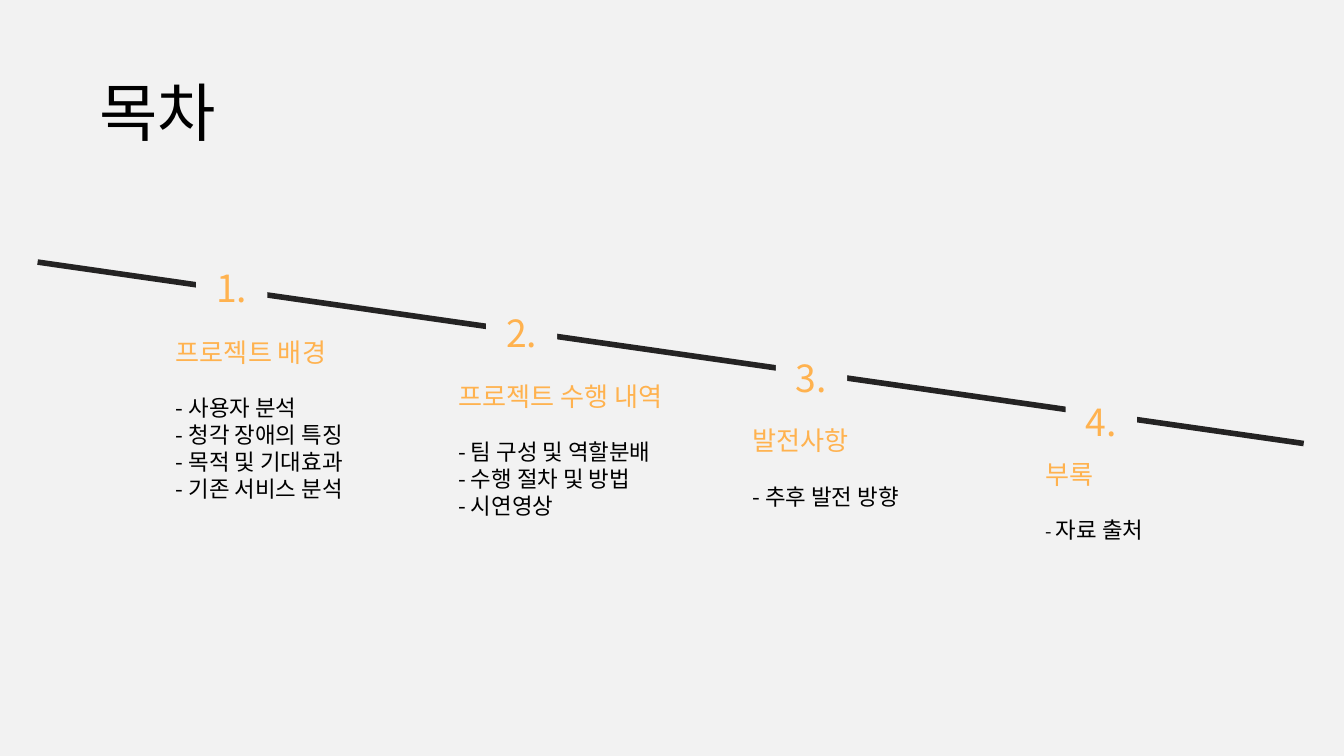
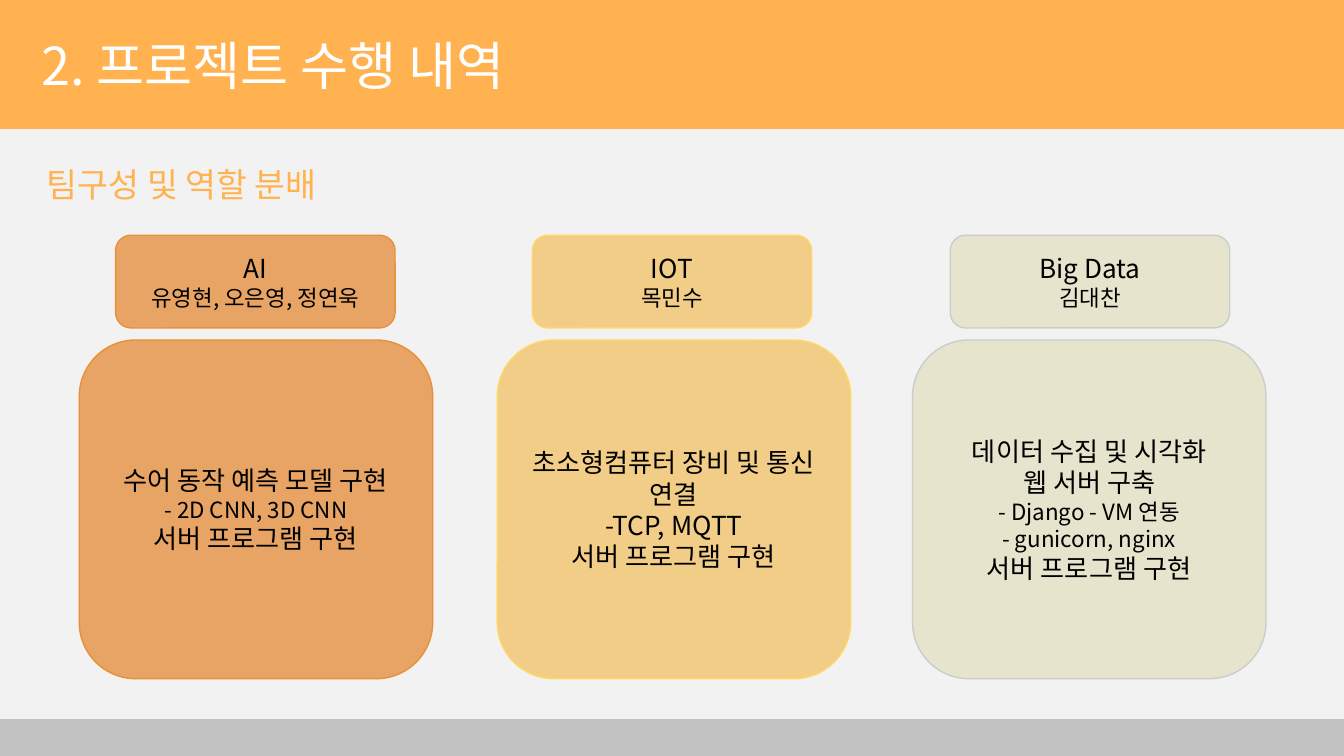
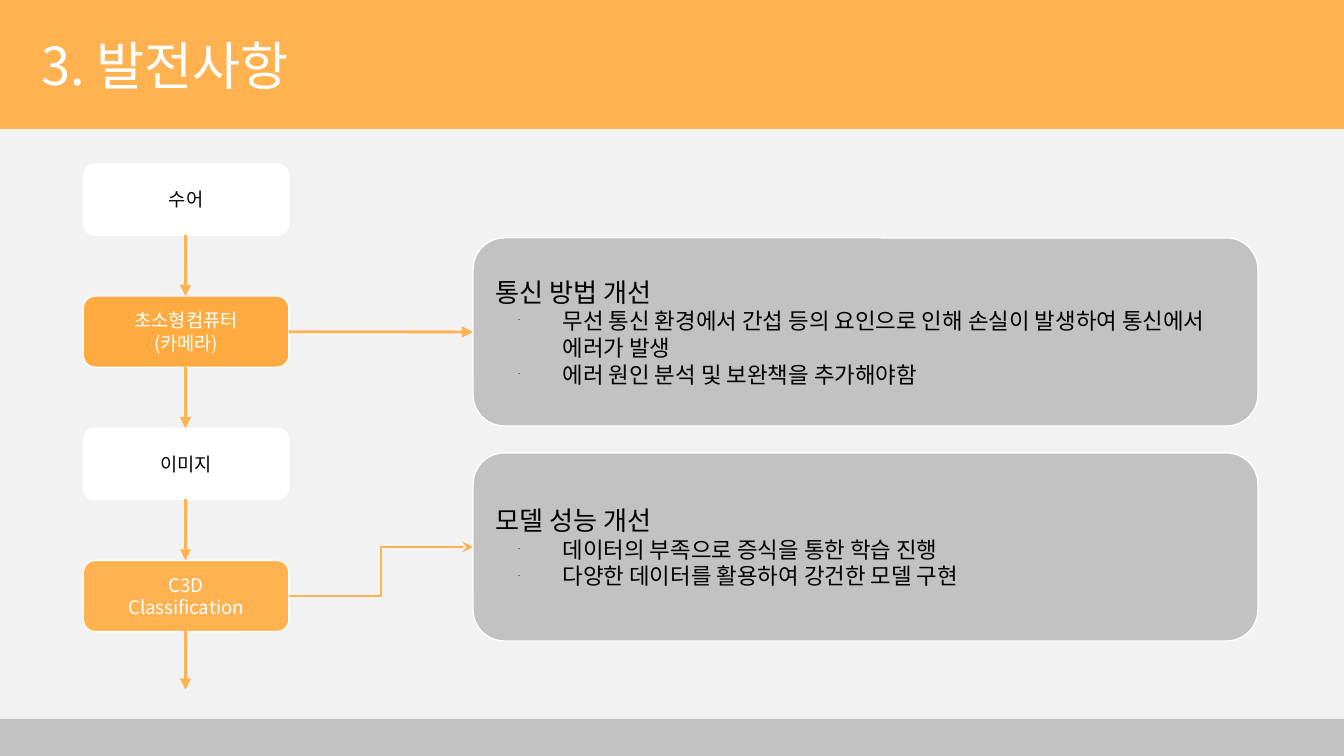
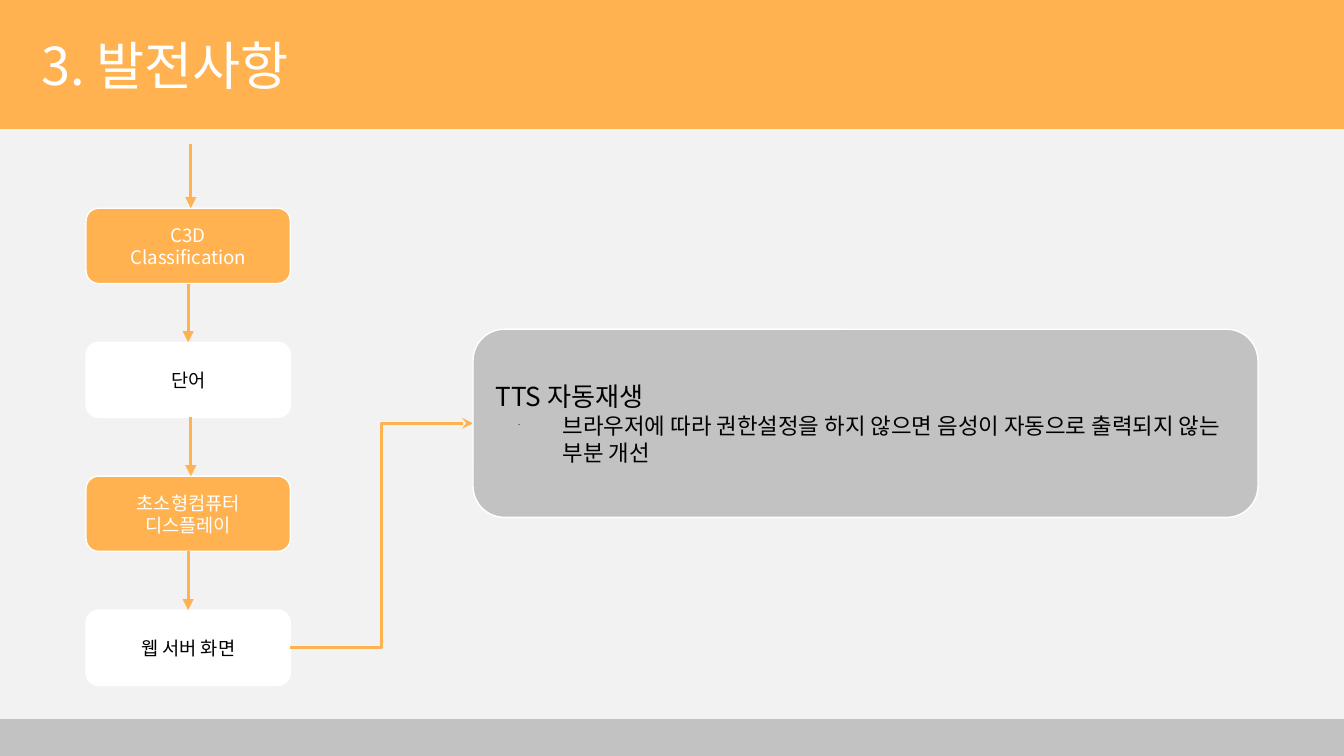
from lxml.etree import SubElement
from pptx import Presentation
from pptx.dml.color import RGBColor
from pptx.enum.shapes import MSO_CONNECTOR, MSO_SHAPE
from pptx.enum.text import MSO_ANCHOR, MSO_AUTO_SIZE, PP_ALIGN
from pptx.oxml.ns import qn
from pptx.util import Inches, Pt

FONT = "Noto Sans CJK KR"
ORANGE = RGBColor(0xFF, 0xB2, 0x4F)
DEEP_ORANGE = RGBColor(0xFF, 0xAB, 0x40)
PAPER = RGBColor(0xF2, 0xF2, 0xF2)
GRAY = RGBColor(0xC2, 0xC2, 0xC2)
INK = RGBColor(0x24, 0x23, 0x23)
BLACK = RGBColor(0, 0, 0)
WHITE = RGBColor(0xFF, 0xFF, 0xFF)

# heading, items, dash size, (left, top, width, height)
CONTENTS = [
    ("프로젝트 배경", ["사용자 분석", "청각 장애의 특징", "목적 및 기대효과", "기존 서비스 분석"],
     12, (1.21, 2.4, 1.6, 1.42)),
    ("프로젝트 수행 내역", ["팀 구성 및 역할분배", "수행 절차 및 방법", "시연영상"],
     12, (3.31, 2.73, 2.11, 1.69)),
    ("발전사항", ["추후 발전 방향"], 12, (5.5, 3.06, 1.6, 1.5)),
    ("부록", ["자료 출처"], 10, (7.68, 3.31, 1.6, 0.83)),
]

# team, members, tasks with sizes, fill, outline, left of name box, left of task box
TEAMS = [
    ("AI", "유영현, 오은영, 정연욱",
     [("수어 동작 예측 모델 구현", 14), ("- 2D CNN, 3D CNN", 12), ("서버 프로그램 구현", 14)],
     RGBColor(0xE8, 0xA4, 0x65), RGBColor(0xE6, 0x91, 0x38), 0.86, 0.59),
    ("IOT", "목민수",
     [("초소형컴퓨터 장비 및 통신 연결", 14), ("-TCP, MQTT", 14), ("서버 프로그램 구현", 14)],
     RGBColor(0xF2, 0xCD, 0x87), RGBColor(0xFF, 0xD9, 0x66), 3.96, 3.7),
    ("Big Data", "김대찬",
     [("데이터 수집 및 시각화", 14), ("웹 서버 구축", 14), ("- Django - VM 연동", 12),
      ("- gunicorn, nginx", 12), ("서버 프로그램 구현", 14)],
     RGBColor(0xE7, 0xE4, 0xCD), RGBColor(0xCC, 0xCC, 0xCC), 7.07, 6.79),
]

# steps: lines of text, fill; notes: top, heading, items
RECOGNITION = dict(
    box=(0.62, 1.53, 0.53), first_top=1.22, last_top=4.17,
    steps=[(["수어"], WHITE), (["초소형컴퓨터", "(카메라)"], DEEP_ORANGE),
           (["이미지"], WHITE), (["C3D", "Classification"], ORANGE)],
    arrow_xs=[1.38] * 3, open_arrow=(1.38, 4.68, 5.13),
    notes=[
        (1.77, "통신 방법 개선",
         ["무선 통신 환경에서 간섭 등의 요인으로 인해 손실이 발생하여 통신에서 에러가 발생",
          "에러 원인 분석 및 보완책을 추가해야함"]),
        (3.37, "모델 성능 개선",
         ["데이터의 부족으로 증식을 통한 학습 진행", "다양한 데이터를 활용하여 강건한 모델 구현"]),
    ],
    note_steps=[1, 3],
)
OUTPUT = dict(
    box=(0.64, 1.52, 0.56), first_top=1.55, last_top=4.54,
    steps=[(["C3D", "Classification"], ORANGE), (["단어"], WHITE),
           (["초소형컴퓨터", "디스플레이"], ORANGE), (["웹 서버 화면"], WHITE)],
    arrow_xs=[1.4, 1.42, 1.4], open_arrow=(1.42, 1.07, 1.55),
    notes=[(2.45, "TTS 자동재생",
            ["브라우저에 따라 권한설정을 하지 않으면 음성이 자동으로 출력되지 않는 부분 개선"])],
    note_steps=[3],
)
NOTE_LEFT, NOTE_WIDTH, NOTE_HEIGHT = 3.52, 5.84, 1.4


def add_run(p, text, size, color):
    r = p.add_run()
    r.text = text
    r.font.size = Pt(size)
    r.font.color.rgb = color
    r.font.name = FONT
    SubElement(r.font._element, qn("a:ea"), typeface=FONT)


def write(tf, text, size=12, color=BLACK, align=PP_ALIGN.LEFT, bullet=False, dash=None, before=0):
    """Add a paragraph, using the frame's first one while it is still empty."""
    p = tf.paragraphs[0]
    if p.runs:
        p = tf.add_paragraph()
    p.alignment = align
    if before:
        p.space_before = Pt(before)
    if bullet:
        pPr = p._p.get_or_add_pPr()
        pPr.set("marL", str(Inches(0.5)))
        pPr.set("indent", str(Inches(-0.33)))
        SubElement(SubElement(pPr, qn("a:buClr")), qn("a:srgbClr"), val=str(BLACK))
        SubElement(pPr, qn("a:buSzPct"), val="25000")
        SubElement(pPr, qn("a:buChar"), char="-")
    if dash and dash != size:
        add_run(p, "- ", dash, color)
    elif dash:
        text = f"- {text}"
    add_run(p, text, size, color)


def set_frame(tf):
    tf.word_wrap = True
    tf.margin_left = tf.margin_right = tf.margin_top = tf.margin_bottom = Inches(0.1)
    return tf


def add_text(s, *box):
    tf = set_frame(s.shapes.add_textbox(*map(Inches, box)).text_frame)
    tf.auto_size = MSO_AUTO_SIZE.SHAPE_TO_FIT_TEXT
    return tf


def add_box(s, *box, fill, line=None, kind=MSO_SHAPE.ROUNDED_RECTANGLE):
    sp = s.shapes.add_shape(kind, *map(Inches, box))
    sp.shadow.inherit = False
    sp.fill.solid()
    sp.fill.fore_color.rgb = fill
    if line is None:
        sp.line.fill.background()
    else:
        sp.line.color.rgb = line
        sp.line.width = Pt(0.75)
    tf = set_frame(sp.text_frame)
    tf.vertical_anchor = MSO_ANCHOR.MIDDLE
    return tf


def add_line(s, *ends, color=ORANGE, width=1.5, head=None, kind=MSO_CONNECTOR.STRAIGHT):
    c = s.shapes.add_connector(kind, *map(Inches, ends))
    c.line.color.rgb = color
    c.line.width = Pt(width)
    if head:
        SubElement(c.line._get_or_add_ln(), qn("a:tailEnd"), type=head)
    SubElement(c._element.spPr, qn("a:effectLst"))


def new_slide(prs, title=None):
    s = prs.slides.add_slide(prs.slide_layouts[6])
    s.background.fill.solid()
    s.background.fill.fore_color.rgb = PAPER
    if title:
        add_box(s, 0, 0, 10, 0.96, fill=ORANGE, kind=MSO_SHAPE.RECTANGLE)
        add_box(s, 0, 5.35, 10, 0.28, fill=GRAY, kind=MSO_SHAPE.RECTANGLE)
        write(add_text(s, 0.21, 0.15, 6.74, 0.67), title, size=28, color=WHITE)
    return s


def contents_slide(prs):
    s = new_slide(prs)
    add_line(s, 0.28, 1.95, 9.7, 3.3, color=INK, width=3)
    write(add_text(s, 0.64, 0.44, 1.41, 0.75), "목차", size=34)
    number_pitch = (7.93 - 1.46) / (len(CONTENTS) - 1)
    for i, (heading, items, dash, box) in enumerate(CONTENTS):
        tf = add_box(s, 1.46 + number_pitch * i, 1.88 + i / 3, 0.53, 0.52,
                     fill=PAPER, kind=MSO_SHAPE.RECTANGLE)
        write(tf, f"{i + 1}.", size=20, color=ORANGE, align=PP_ALIGN.CENTER)
        tf = add_text(s, *box)
        write(tf, heading, size=14, color=ORANGE)
        for j, item in enumerate(items):
            write(tf, item, dash=dash, before=0 if j else 14.4)


def team_slide(prs):
    s = new_slide(prs, "2. 프로젝트 수행 내역")
    write(add_text(s, 0.25, 1.12, 2.97, 0.49), "팀구성 및 역할 분배", size=18, color=ORANGE)
    for team, members, tasks, fill, line, name_left, task_left in TEAMS:
        for box, rows in [((name_left, 1.75, 2.08, 0.69), [(team, 14), (members, 12)]),
                          ((task_left, 2.53, 2.63, 2.52), tasks)]:
            tf = add_box(s, *box, fill=fill, line=line)
            for text, size in rows:
                write(tf, text, size=size, align=PP_ALIGN.CENTER)


def flow_slide(prs, flow):
    s = new_slide(prs, "3. 발전사항")
    left, width, height = flow["box"]
    steps = flow["steps"]
    pitch = (flow["last_top"] - flow["first_top"]) / (len(steps) - 1)
    tops = [flow["first_top"] + pitch * i for i in range(len(steps))]
    for top, (lines, fill) in zip(tops, steps):
        tf = add_box(s, left, top, width, height, fill=fill, line=WHITE)
        for text in lines:
            write(tf, text, size=10, color=BLACK if fill == WHITE else WHITE,
                  align=PP_ALIGN.CENTER)
    for x, top, below in zip(flow["arrow_xs"], tops, tops[1:]):
        add_line(s, x, top + height, x, below, head="triangle")
    x, start, end = flow["open_arrow"]
    add_line(s, x, start, x, end, head="triangle")

    for step, (top, heading, items) in zip(flow["note_steps"], flow["notes"]):
        start, end = tops[step] + height / 2, top + NOTE_HEIGHT / 2
        level = abs(start - end) < 0.05
        add_line(s, left + width, start, NOTE_LEFT, end,
                 head="triangle" if level else "stealth",
                 kind=MSO_CONNECTOR.STRAIGHT if level else MSO_CONNECTOR.ELBOW)
        tf = add_box(s, NOTE_LEFT, top, NOTE_WIDTH, NOTE_HEIGHT, fill=GRAY, line=WHITE)
        write(tf, heading, size=14)
        for item in items:
            write(tf, item, bullet=True)


def main():
    prs = Presentation()
    prs.slide_width = Inches(10)
    prs.slide_height = prs.slide_width * 9 // 16
    contents_slide(prs)
    team_slide(prs)
    flow_slide(prs, RECOGNITION)
    flow_slide(prs, OUTPUT)
    prs.save("out.pptx")


if __name__ == "__main__":
    main()
